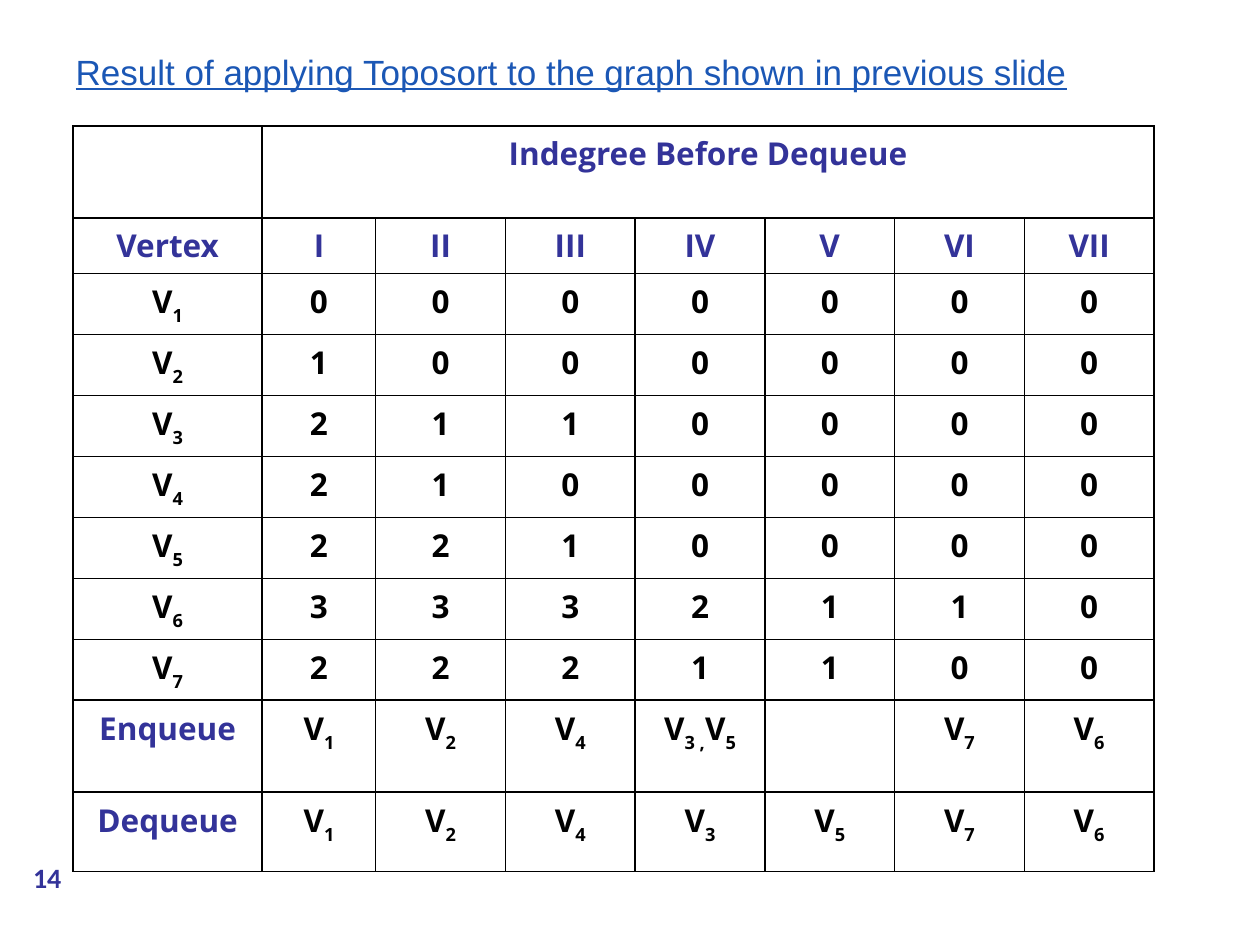
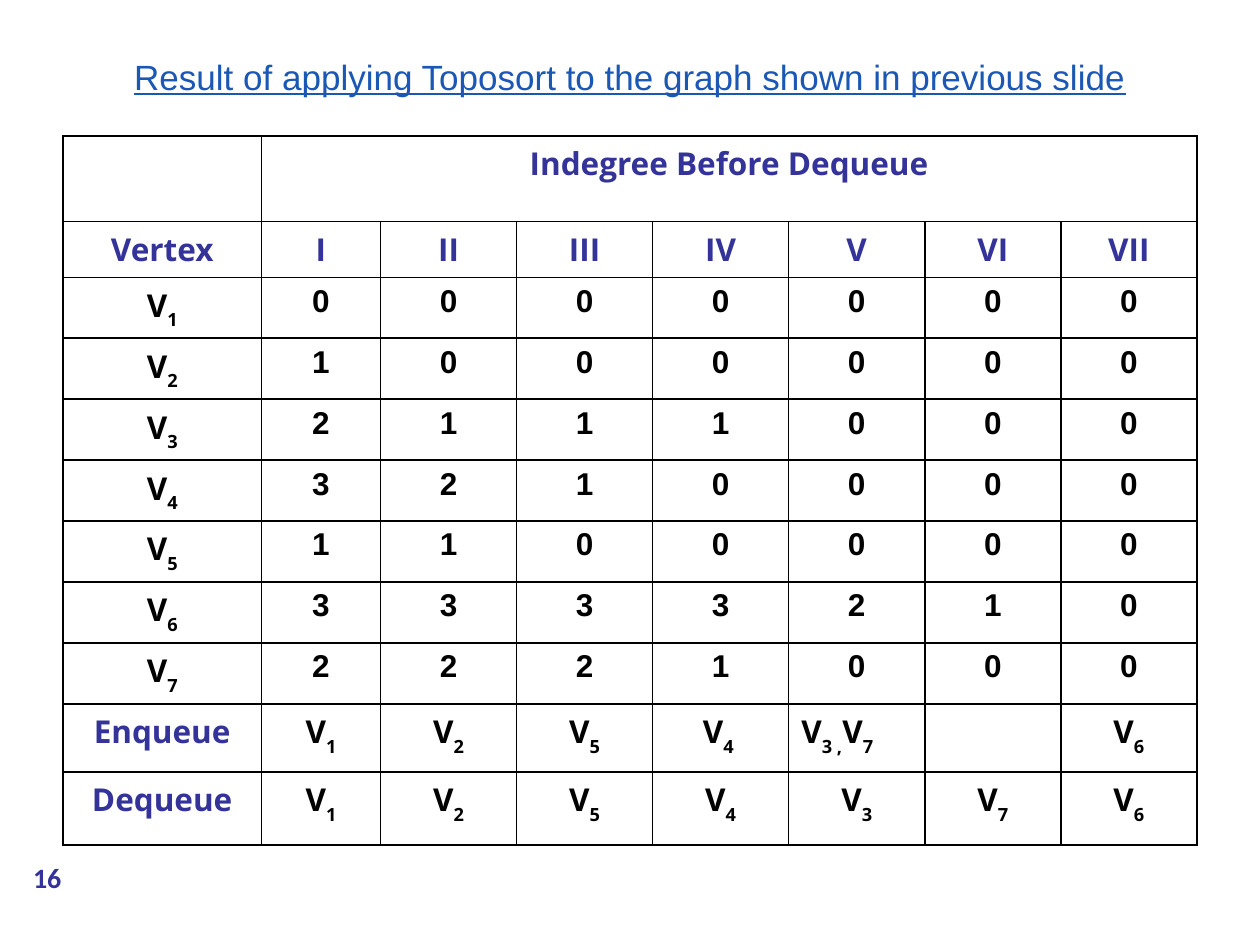
from dataclasses import dataclass

import pptx
import pptx.dml.color
import pptx.enum.shapes
import pptx.enum.text
import pptx.oxml
import pptx.oxml.ns
import pptx.util
from lxml import etree

Inches, Pt = pptx.util.Inches, pptx.util.Pt
RGBColor = pptx.dml.color.RGBColor
Align, Anchor = pptx.enum.text.PP_ALIGN, pptx.enum.text.MSO_ANCHOR

BLACK = RGBColor(0x00, 0x00, 0x00)
WHITE = RGBColor(0xFF, 0xFF, 0xFF)
INDIGO = RGBColor(0x33, 0x33, 0x99)
TITLE_BLUE = RGBColor(0x1B, 0x57, 0xB5)

SLIDE_W, SLIDE_H = Inches(10), Inches(7.5)
TITLE = "Result of applying Toposort to the graph shown in previous slide"
SPAN_HEADING = "Indegree Before Dequeue"
STEPS = ["I", "II", "III", "IV", "V", "VI", "VII"]
COLUMN_SHARES = [0.175, 0.105] + [0.12] * 6
VERTEX_ROW = 0.38
LABEL_FONT = "Open Sans"
HANGING = Inches(0.38)
SUBSCRIPT_MARK = "V_"


@dataclass(frozen=True)
class Toposort:
    """One run of the algorithm; lengths are in inches."""
    number: str
    title_height: float
    title_align: Align
    left: float
    top: float
    width: float
    heading_row: float
    enqueue_row: float
    dequeue_row: float
    digit_font: str
    indegrees: list[str]  # one digit per step, one string per vertex
    enqueue: list[str]
    dequeue: list[str]
    left_aligned: str = ""

    def rows(self) -> list[list[str]]:
        vertices = [[f"V_{i}", *digits] for i, digits in enumerate(self.indegrees, 1)]
        return [["", SPAN_HEADING] + [""] * 6, ["Vertex", *STEPS], *vertices,
                ["Enqueue", *self.enqueue], ["Dequeue", *self.dequeue]]

    def row_heights(self) -> list[float]:
        return [self.heading_row, *[VERTEX_ROW] * (1 + len(self.indegrees)),
                self.enqueue_row, self.dequeue_row]


RUNS = [
    Toposort("14", 0.71, Align.LEFT, 0.58, 1, 8.58, 0.73, 0.73, 0.63, LABEL_FONT,
             ["0000000", "1000000", "2110000", "2100000",
              "2210000", "3332110", "2221100"],
             ["V_1", "V_2", "V_4", "V_3 ,V_5", "", "V_7", "V_6"],
             ["V_1", "V_2", "V_4", "V_3", "V_5", "V_7", "V_6"]),
    Toposort("16", 0.79, Align.CENTER, 0.5, 1.08, 9, 0.68, 0.54, 0.58, "Arial",
             ["0000000", "1000000", "2111000", "3210000",
              "1100000", "3333210", "2221000"],
             ["V_1", "V_2", "V_5", "V_4 ", "V_3 ,V_7", "", "V_6"],
             ["V_1", "V_2", "V_5", "V_4", "V_3", "V_7", "V_6"],
             left_aligned="V_3 ,V_7"),
]


def style(paragraph, font: str, size: float, color: RGBColor, align: Align,
          bold: bool = False) -> None:
    paragraph.alignment = align
    paragraph.font.name = font
    paragraph.font.size = Pt(size)
    paragraph.font.bold = bold
    paragraph.font.color.rgb = color


def write_vertices(paragraph, text: str) -> None:
    """Write text, lowering whatever follows each subscript mark."""
    if SUBSCRIPT_MARK not in text:
        paragraph.add_run().text = text
        return
    for index in text.split(SUBSCRIPT_MARK)[1:]:
        paragraph.add_run().text = "V"
        lowered = paragraph.add_run()
        lowered.text = index
        lowered._r.get_or_add_rPr().set("baseline", "-30000")


def add_borders(cell) -> None:
    properties = cell._tc.get_or_add_tcPr()
    for position, side in enumerate(("lnL", "lnR", "lnT", "lnB")):
        border = pptx.oxml.parse_xml(
            f'<a:{side} {pptx.oxml.ns.nsdecls("a")} w="{Pt(1)}"><a:solidFill>'
            f'<a:srgbClr val="{BLACK}"/></a:solidFill></a:{side}>')
        properties.insert(position, border)


def fill_cell(cell, text: str, run: Toposort) -> None:
    cell.fill.solid()
    cell.fill.fore_color.rgb = WHITE
    add_borders(cell)
    if not text:
        return
    paragraph = cell.text_frame.paragraphs[0]
    write_vertices(paragraph, text)
    is_data = text.isdigit() or SUBSCRIPT_MARK in text
    is_left = text == run.left_aligned
    style(paragraph, run.digit_font if text.isdigit() else LABEL_FONT, 18,
          BLACK if is_data else INDIGO, Align.LEFT if is_left else Align.CENTER, bold=True)
    if not is_left:
        indents = paragraph._p.get_or_add_pPr()
        indents.set("marL", str(HANGING))
        indents.set("indent", str(-HANGING))


def add_title(slide, run: Toposort) -> None:
    title = slide.shapes.title
    title.left, title.top = int(SLIDE_W * 0.05), Inches(0.21)
    title.width, title.height = int(SLIDE_W * 0.9), Inches(run.title_height)
    title.text_frame.text = TITLE
    title.text_frame.vertical_anchor = Anchor.MIDDLE
    paragraph = title.text_frame.paragraphs[0]
    style(paragraph, "Arial", 20, TITLE_BLUE, run.title_align)
    paragraph.font.underline = True


def add_page_number(slide, number: str) -> None:
    badge = slide.shapes.add_shape(pptx.enum.shapes.MSO_SHAPE.OVAL, 0, Inches(6.8),
                                   Inches(0.75), Inches(0.33))
    badge.shadow.inherit = False
    badge.fill.solid()
    badge.fill.fore_color.rgb = WHITE
    badge.line.color.rgb = WHITE
    badge.line.width = Pt(2)
    frame = badge.text_frame
    frame.margin_left = frame.margin_right = frame.margin_top = frame.margin_bottom = 0
    frame.vertical_anchor = Anchor.MIDDLE
    frame.text = number
    style(frame.paragraphs[0], "Calibri", 16, INDIGO, Align.CENTER, bold=True)


def add_indegree_table(slide, run: Toposort) -> None:
    rows, heights = run.rows(), run.row_heights()
    table = slide.shapes.add_table(
        len(rows), len(COLUMN_SHARES), Inches(run.left), Inches(run.top),
        Inches(run.width), Inches(sum(heights))).table
    table.first_row = table.horz_banding = False
    for column, share in zip(table.columns, COLUMN_SHARES):
        column.width = Inches(run.width * share)
    for row, height, texts in zip(table.rows, heights, rows):
        row.height = Inches(height)
        for cell, text in zip(row.cells, texts):
            fill_cell(cell, text, run)
    table.cell(0, 1).merge(table.cell(0, len(STEPS)))


def main() -> None:
    deck = pptx.Presentation()
    deck.slide_width, deck.slide_height = SLIDE_W, SLIDE_H
    title_only = deck.slide_layouts[5]
    for run in RUNS:
        slide = deck.slides.add_slide(title_only)
        add_title(slide, run)
        add_page_number(slide, run.number)
        add_indegree_table(slide, run)
    deck.save("out.pptx")


if __name__ == "__main__":
    main()
